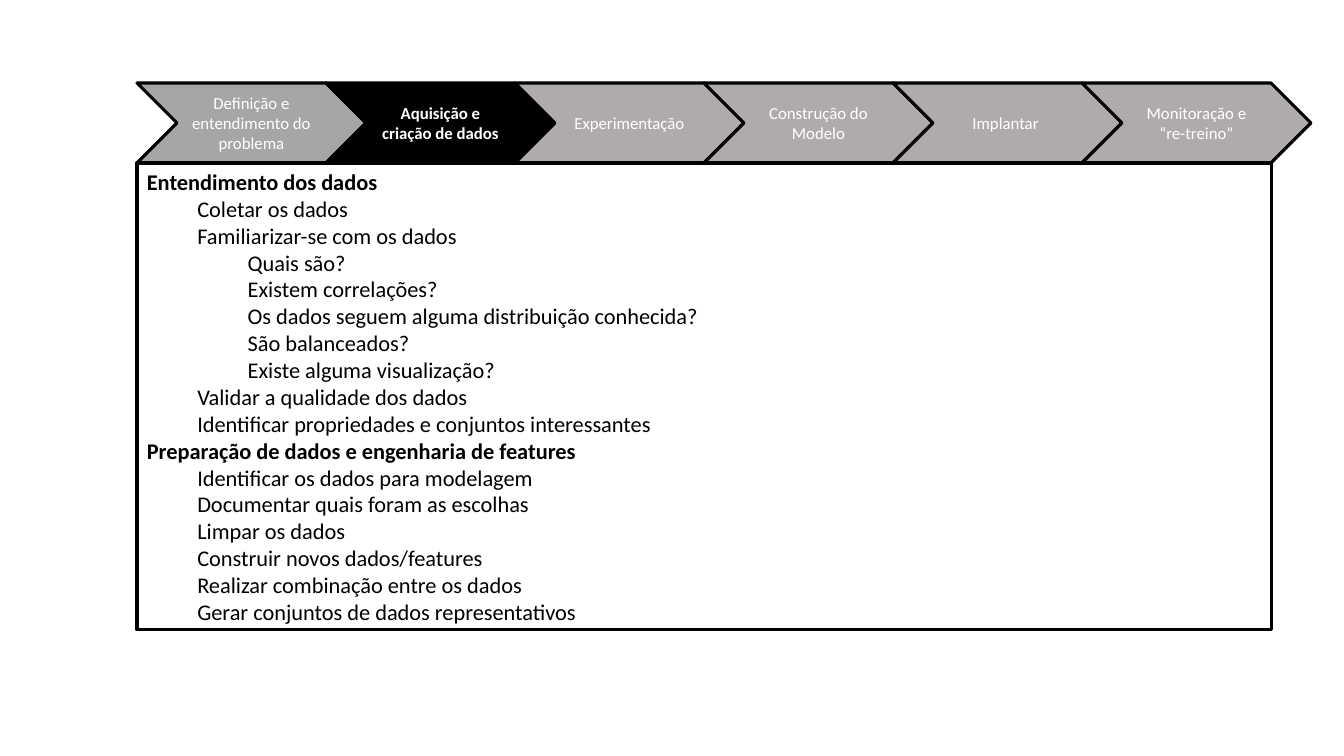
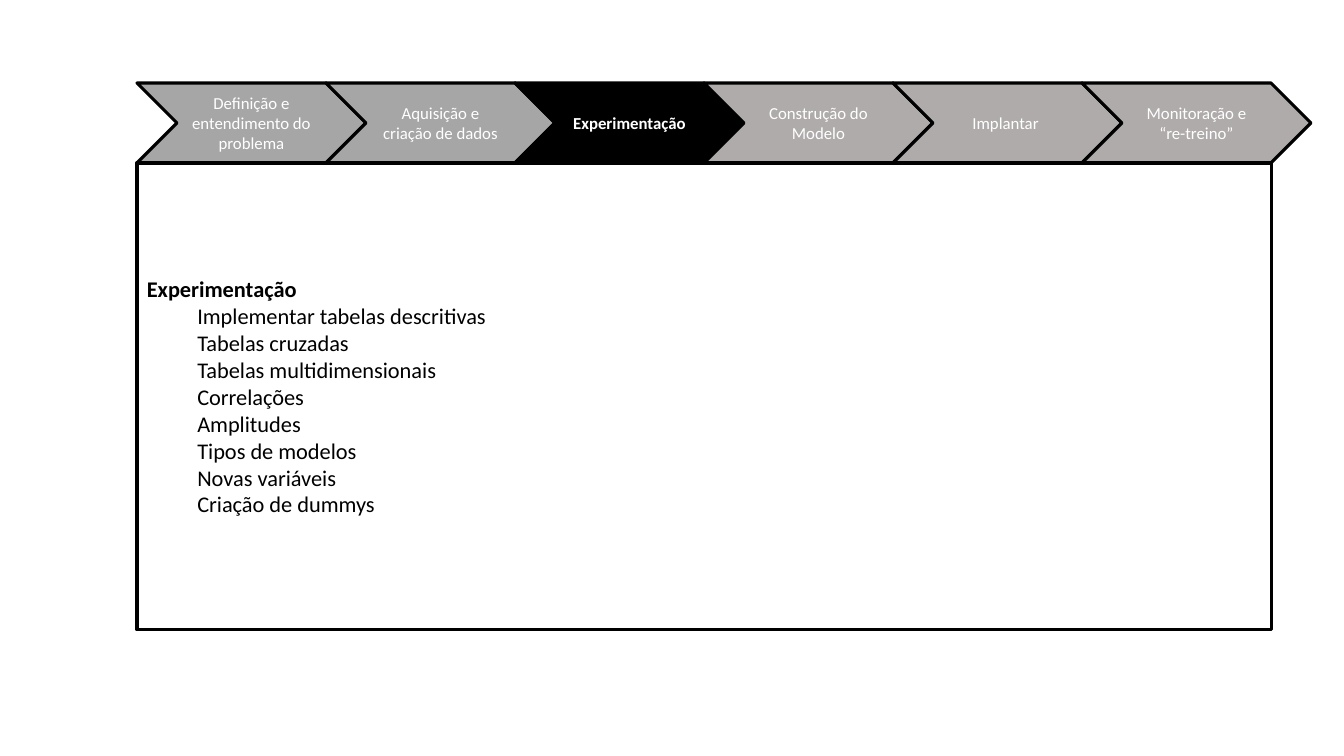
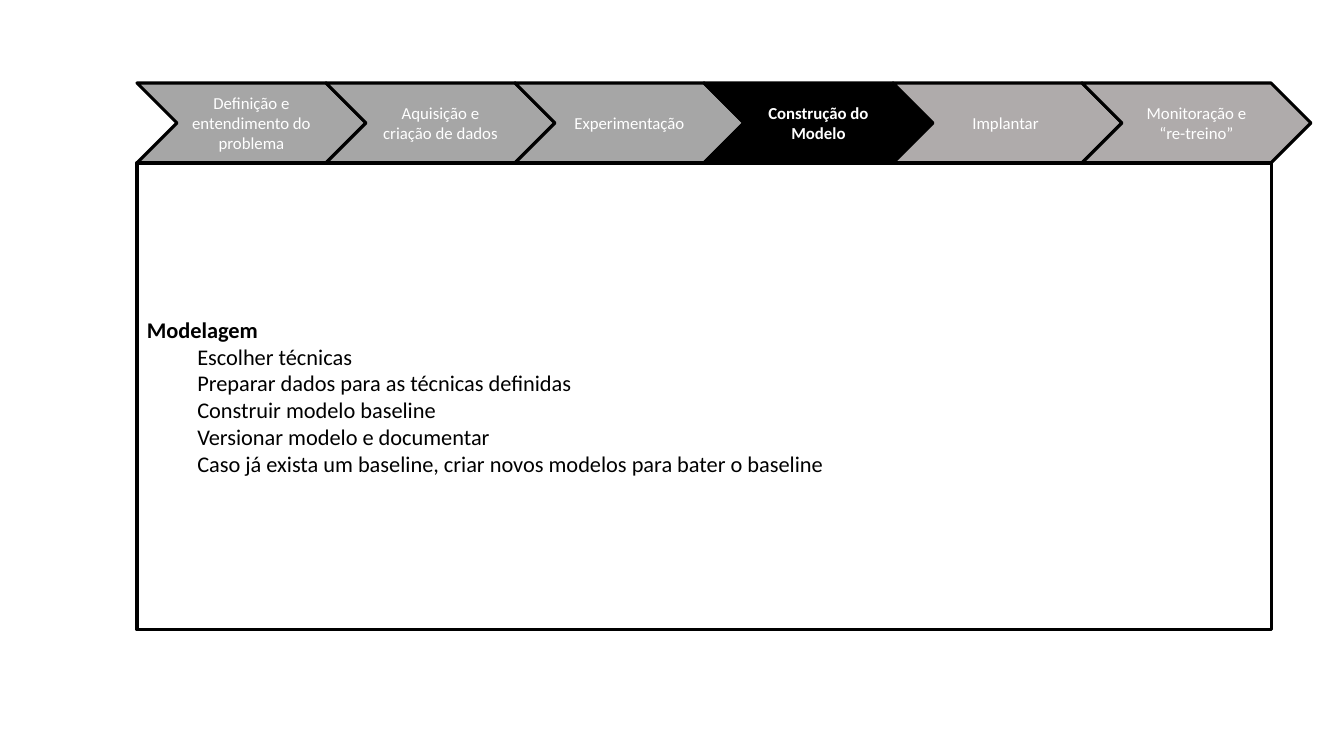
from dataclasses import dataclass

from pptx import Presentation
from pptx.dml.color import RGBColor
from pptx.enum.shapes import MSO_SHAPE
from pptx.enum.text import MSO_ANCHOR, PP_ALIGN
from pptx.util import Emu, Pt

CHEVRON, RECT = MSO_SHAPE.CHEVRON, MSO_SHAPE.RECTANGLE
LEFT, CENTER = PP_ALIGN.LEFT, PP_ALIGN.CENTER
MIDDLE = MSO_ANCHOR.MIDDLE

SLIDE_W, SLIDE_H = 1344, 756
PX = 12192000 / SLIDE_W
BLANK_LAYOUT = 6


@dataclass(frozen=True)
class Theme:
    font: str = "Calibri"
    black: RGBColor = RGBColor(0x00, 0x00, 0x00)
    white: RGBColor = RGBColor(0xFF, 0xFF, 0xFF)
    done: RGBColor = RGBColor(0xA6, 0xA6, 0xA6)
    pending: RGBColor = RGBColor(0xAF, 0xAB, 0xAB)
    stage_size: int = 12
    body_size: int = 16
    line_width: float = 2.25


THEME = Theme()

# Left, top, width, height in px
STAGE_BAR = (137, 83, 1174, 80)
PANEL = (137, 163, 1135, 467)
STAGE_PITCH = 189
INDENT = 50.4

STAGES = [
    "Definição e entendimento do problema",
    "Aquisição e criação de dados",
    "Experimentação",
    "Construção do Modelo",
    "Implantar ",
    "Monitoração e “re-treino”",
]

# Active stage and its (level, text) outline
SLIDES = [
    (1, [
        (0, "Entendimento dos dados"),
        (1, "Coletar os dados"),
        (1, "Familiarizar-se com os dados"),
        (2, "Quais são?"),
        (2, "Existem correlações?"),
        (2, "Os dados seguem alguma distribuição conhecida?"),
        (2, "São balanceados?"),
        (2, "Existe alguma visualização?"),
        (1, "Validar a qualidade dos dados"),
        (1, "Identificar propriedades e conjuntos interessantes"),
        (0, "Preparação de dados e engenharia de features"),
        (1, "Identificar os dados para modelagem"),
        (1, "Documentar quais foram as escolhas"),
        (1, "Limpar os dados"),
        (1, "Construir novos dados/features"),
        (1, "Realizar combinação entre os dados"),
        (1, "Gerar conjuntos de dados representativos"),
    ]),
    (2, [
        (0, "Experimentação"),
        (1, "Implementar tabelas descritivas"),
        (1, "Tabelas cruzadas"),
        (1, "Tabelas multidimensionais"),
        (1, "Correlações"),
        (1, "Amplitudes"),
        (1, "Tipos de modelos"),
        (1, "Novas variáveis"),
        (1, "Criação de dummys"),
    ]),
    (3, [
        (0, "Modelagem"),
        (1, "Escolher técnicas"),
        (1, "Preparar dados para as técnicas definidas"),
        (1, "Construir modelo baseline"),
        (1, "Versionar modelo e documentar"),
        (1, "Caso já exista um baseline, criar novos modelos para bater o baseline"),
    ]),
]


def px(n):
    return Emu(round(n * PX))


def add_box(slide, kind, box, fill):
    """Add an outlined shape with middle-anchored, wrapping text."""
    sp = slide.shapes.add_shape(kind, *(px(n) for n in box))
    sp.shadow.inherit = False
    sp.fill.solid()
    sp.fill.fore_color.rgb = fill
    sp.line.color.rgb = THEME.black
    sp.line.width = Pt(THEME.line_width)
    sp.text_frame.word_wrap = True
    sp.text_frame.vertical_anchor = MIDDLE
    return sp


def add_run(p, text, size, color, bold):
    r = p.add_run()
    r.text = text
    r.font.name = THEME.font
    r.font.size = Pt(size)
    r.font.color.rgb = color
    r.font.bold = bold


def stage_fill(i, active):
    if i == active:
        return THEME.black
    return THEME.done if i < active else THEME.pending


def add_stage_bar(slide, box, active):
    left, top, width, height = box
    stage_w = width - STAGE_PITCH * (len(STAGES) - 1)
    for i, name in enumerate(STAGES):
        stage_box = (left + i * STAGE_PITCH, top, stage_w, height)
        sp = add_box(slide, CHEVRON, stage_box, stage_fill(i, active))
        p = sp.text_frame.paragraphs[0]
        p.alignment = CENTER
        add_run(p, name, THEME.stage_size, THEME.white, i == active)


def add_outline_panel(slide, box, outline):
    tf = add_box(slide, RECT, box, THEME.white).text_frame
    for i, (level, text) in enumerate(outline):
        p = tf.add_paragraph() if i else tf.paragraphs[0]
        p.alignment = LEFT
        p.level = level
        pPr = p._p.get_or_add_pPr()
        pPr.set("marL", str(px(level * INDENT)))
        pPr.set("indent", "0")
        add_run(p, text, THEME.body_size, THEME.black, level == 0)


def add_stage_slide(prs, active, outline):
    slide = prs.slides.add_slide(prs.slide_layouts[BLANK_LAYOUT])
    add_stage_bar(slide, STAGE_BAR, active)
    add_outline_panel(slide, PANEL, outline)


def main():
    prs = Presentation()
    prs.slide_width, prs.slide_height = px(SLIDE_W), px(SLIDE_H)
    for active, outline in SLIDES:
        add_stage_slide(prs, active, outline)
    prs.save("out.pptx")


if __name__ == "__main__":
    main()
